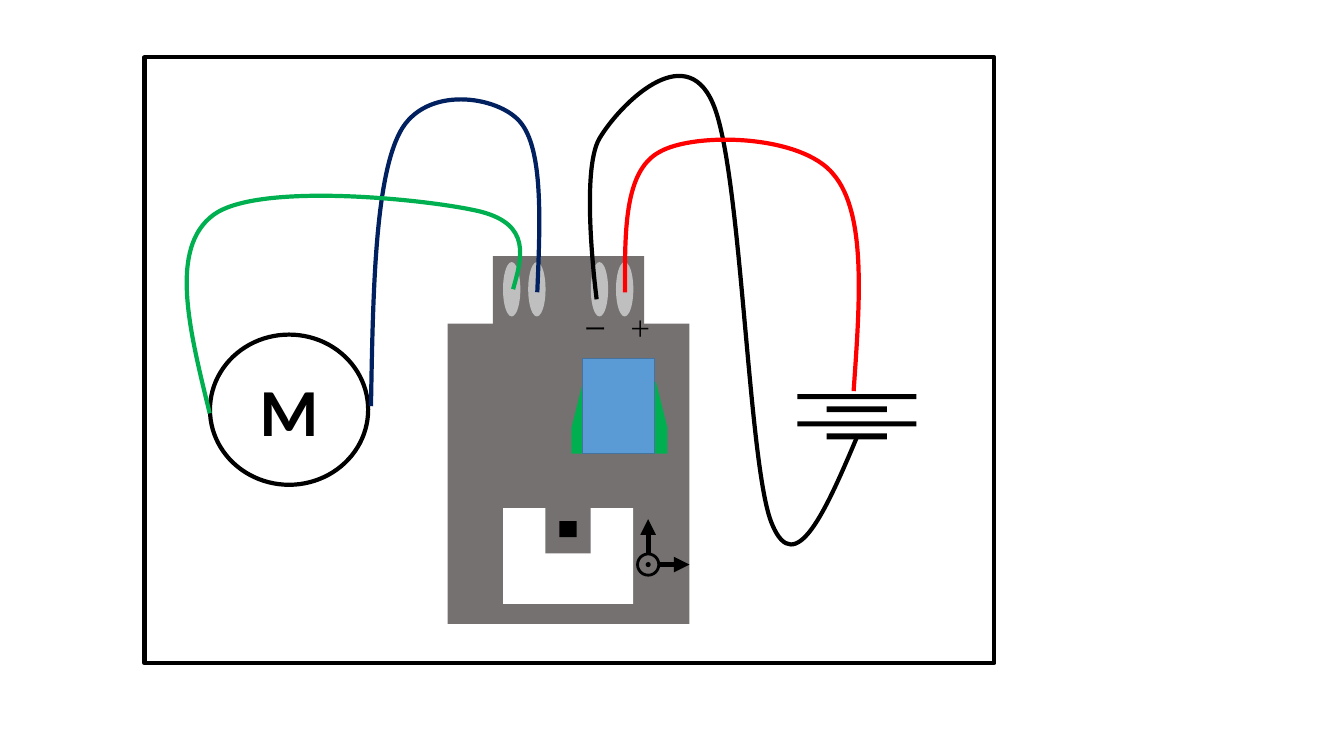
from lxml.etree import SubElement
from pptx import Presentation
from pptx.dml.color import RGBColor
from pptx.enum.shapes import MSO_CONNECTOR as Connector, MSO_SHAPE as Preset
from pptx.enum.text import MSO_ANCHOR as Anchor, MSO_AUTO_SIZE as AutoSize, PP_ALIGN as Align
from pptx.oxml.ns import qn
from pptx.util import Pt

BLACK, WHITE, GREEN = "000000", "FFFFFF", "00B050"
BODY_GREY, PORT_GREY = "767171", "BFBFBF"
STROKE = 3
CURVE_STEPS = 24

# Start point, then Bezier segments: two control points and an end point
WIRES = [
    (BLACK, (612, 312.5), [
        ((590.4, 363.6), (568.1, 414.7), (551.5, 374.4)),
        ((534.2, 334.8), (529.9, 119.5), (509, 73.4)),
        ((488.9, 27.4), (442.1, 75.6), (428.4, 98.6)),
        ((414, 121.7), (426.2, 213.8), (426.2, 213.8))]),
    ("FF0000", (609.8, 279.4), [
        ((614.2, 216), (619.2, 152.6), (595.4, 124.6)),
        ((572.4, 95.8), (495.4, 94.3), (470.9, 108.7)),
        ((445.7, 122.4), (446.4, 165.6), (446.4, 208.8))]),
    ("002060", (265, 290.2), [
        ((266.4, 209.5), (267.8, 128.2), (285.8, 94.3)),
        ((303.8, 60.5), (355.7, 68.4), (371.5, 87.1)),
        ((388.1, 106.6), (385.9, 157.7), (383.8, 208.8))]),
    (GREEN, (149.8, 295.2), [
        ((135.4, 236.2), (120.2, 177.1), (152.6, 153.4)),
        ((185, 129.6), (308.2, 142.6), (343.4, 151.2)),
        ((379.4, 160.6), (373, 183.6), (366.5, 206.6))]),
]


def color(hex_value):
    return RGBColor.from_string(hex_value)


def paint(shape, fill=None, line=None, width=STROKE):
    shape.shadow.inherit = False
    if fill:
        shape.fill.solid()
        shape.fill.fore_color.rgb = color(fill)
    else:
        shape.fill.background()
    if line:
        shape.line.color.rgb = color(line)
        shape.line.width = Pt(width)
    else:
        shape.line.fill.background()


def add_part(slide, preset, box, **style):
    part = slide.shapes.add_shape(preset, *map(Pt, box))
    paint(part, **style)
    return part


def write(frame, text, size, align=Align.LEFT, bold=False):
    paragraph = frame.paragraphs[0]
    paragraph.alignment = align
    run = paragraph.add_run()
    run.text = text
    for name, value in {"name": "Calibri", "size": Pt(size), "bold": bold}.items():
        setattr(run.font, name, value)
    run.font.color.rgb = color(BLACK)


def bezier(t, *points):
    weights = ((1 - t) ** 3, 3 * t * (1 - t) ** 2, 3 * t ** 2 * (1 - t), t ** 3)
    return tuple(Pt(sum(w * p[axis] for w, p in zip(weights, points)))
                 for axis in (0, 1))


def add_wire(slide, hue, start, segments):
    # Points along the curve give the shape its exact bounds
    track, begin = [], start
    for segment in segments:
        track += [bezier(i / CURVE_STEPS, begin, *segment)
                  for i in range(1, CURVE_STEPS + 1)]
        begin = segment[-1]
    builder = slide.shapes.build_freeform(Pt(start[0]), Pt(start[1]))
    builder.add_line_segments(track, close=False)
    wire = builder.convert_to_shape()
    paint(wire, line=hue)

    # True curves replace the straight steps
    outline = wire._element.find(".//" + qn("a:path"))
    for step in outline.findall(qn("a:lnTo")):
        outline.remove(step)
    for segment in segments:
        curve = SubElement(outline, qn("a:cubicBezTo"))
        for x, y in segment:
            SubElement(curve, qn("a:pt"), x=str(Pt(x) - wire.left),
                       y=str(Pt(y) - wire.top))


def add_arrow(slide, *ends):
    arrow = slide.shapes.add_connector(Connector.STRAIGHT, *map(Pt, ends))
    arrow.line.color.rgb = color(BLACK)
    arrow.line.width = Pt(3.75)
    properties = arrow._element.spPr
    SubElement(properties.find(qn("a:ln")), qn("a:tailEnd"), type="triangle")
    SubElement(properties, qn("a:effectLst"))


def add_battery(slide, center=612, top=281.5, pitch=19.4):
    for cell in range(2):
        for width, height, drop in ((43.2, 4.3, 8.7), (85, 3.6, 0)):
            box = (center - width / 2, top + cell * pitch + drop, width, height)
            add_part(slide, Preset.RECTANGLE, box, fill=BLACK)


def add_motor(slide):
    motor = add_part(slide, Preset.OVAL, (150, 239, 113, 107.3), line=BLACK)
    motor.text_frame.vertical_anchor = Anchor.MIDDLE
    write(motor.text_frame, "M", 48, Align.CENTER, bold=True)


def add_controller(slide):
    for box, fill in (((319.7, 231.1, 172.8, 214.6), BODY_GREY),
                      ((359.3, 362.9, 92.9, 68.4), WHITE),
                      ((352.1, 182.9, 108, 77.8), BODY_GREY),
                      ((389.5, 362.9, 32.4, 32.4), BODY_GREY)):
        add_part(slide, Preset.RECTANGLE, box, fill=fill)
    for pair_left in (359.3, 422):
        for port in range(2):
            add_part(slide, Preset.OVAL, (pair_left + 18 * port, 187.2, 12.4, 38.9),
                     fill=PORT_GREY)


def add_polarity(slide):
    polarity = slide.shapes.add_textbox(*map(Pt, (410.4, 221.8, 74.9, 26.6)))
    polarity.text_frame.word_wrap = True
    polarity.text_frame.auto_size = AutoSize.SHAPE_TO_FIT_TEXT
    write(polarity.text_frame, "ー　＋", 16)


def add_axes(slide, x=463, y=403.3):
    add_arrow(slide, x, y - 8, x, 370.8)
    add_part(slide, Preset.OVAL, (x - 7.6, y - 7.6, 15.2, 15.2), line=BLACK, width=2)
    add_arrow(slide, x + 7.4, y, 492.5, y)
    add_part(slide, Preset.OVAL, (x - 1.8, y - 1.8, 3.6, 3.6), fill=BLACK)


def add_blue_module(slide):
    add_part(slide, Preset.TRAPEZOID, (408.2, 272.9, 68.6, 32.8), fill=GREEN)
    add_part(slide, Preset.RECTANGLE, (408.2, 305.4, 68.6, 18.6), fill=GREEN)
    add_part(slide, Preset.RECTANGLE, (416.2, 256.3, 51.4, 67.7),
             fill="5B9BD5", line="43739E", width=1)


def main():
    deck = Presentation()
    deck.slide_width, deck.slide_height = Pt(960), Pt(540)
    slide = deck.slides.add_slide(deck.slide_layouts[6])

    # Circuit parts and wiring
    add_battery(slide)
    add_motor(slide)
    add_controller(slide)
    for wire in WIRES:
        add_wire(slide, *wire)

    # Frame and controller details
    add_part(slide, Preset.RECTANGLE, (103.3, 41, 607, 432.7), line=BLACK)
    add_polarity(slide)
    add_part(slide, Preset.RECTANGLE, (399.6, 372.2, 12.4, 11.5), fill=BLACK)
    add_axes(slide)
    add_blue_module(slide)

    deck.save("out.pptx")


main()
